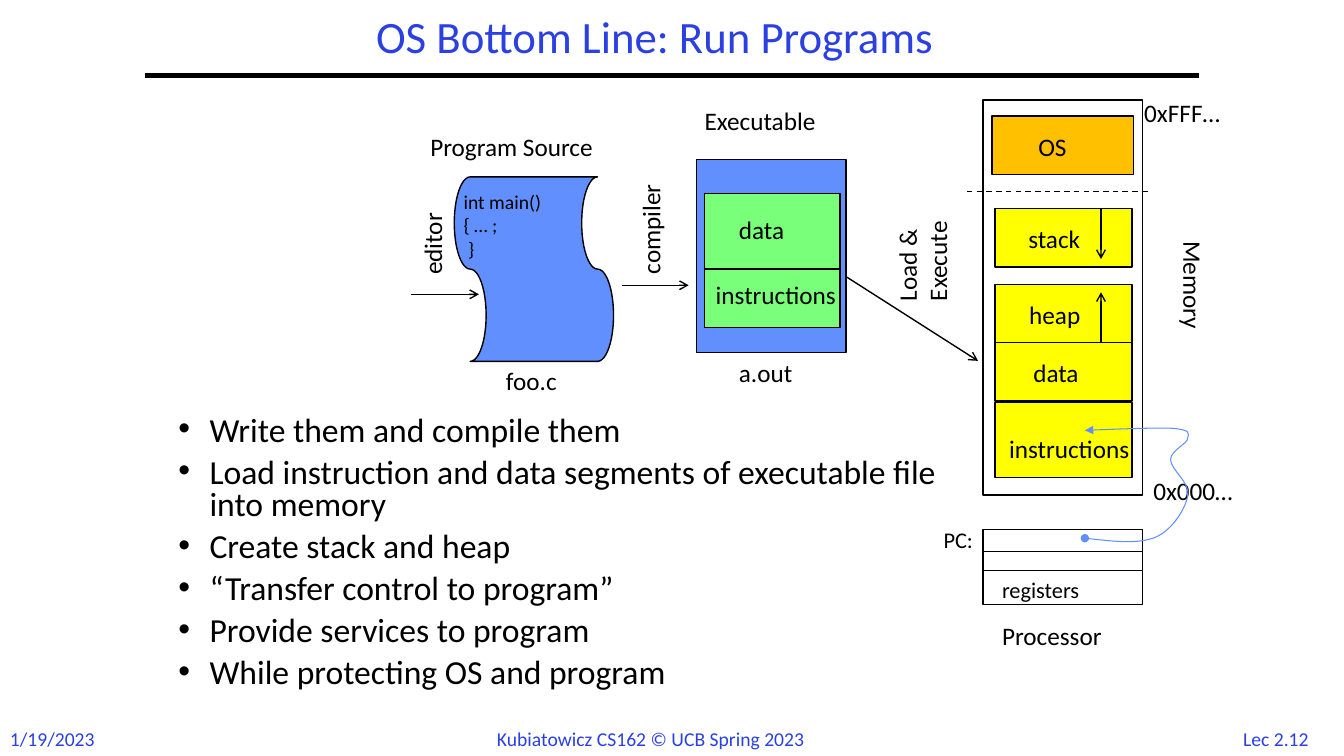
from lxml.etree import SubElement
from pptx import Presentation
from pptx.dml.color import RGBColor
from pptx.enum.dml import MSO_LINE
from pptx.enum.shapes import MSO_CONNECTOR, MSO_SHAPE
from pptx.enum.text import MSO_ANCHOR, MSO_AUTO_SIZE, PP_ALIGN
from pptx.oxml.ns import qn
from pptx.util import Inches, Pt

BLACK = RGBColor(0x00, 0x00, 0x00)
TITLE_BLUE = RGBColor(0x2A, 0x40, 0xE2)
FILE_BLUE = RGBColor(0x61, 0x8F, 0xFD)
SEGMENT_GREEN = RGBColor(0x79, 0xFF, 0x79)
MEMORY_YELLOW = RGBColor(0xFF, 0xFF, 0x00)
OS_ORANGE = RGBColor(0xFF, 0xC0, 0x00)


def apply(target, values):
    for attribute, value in values.items():
        setattr(target, attribute, value)


class Diagram:
    """Draws styled diagram elements on one slide."""

    font = "Calibri"

    def __init__(self, slide):
        self.shapes = slide.shapes

    def text(self, content, left, top, width, height=0.4, size=18, color=BLACK,
             rotation=0, wrap=False, grow=True, anchor=MSO_ANCHOR.TOP,
             bullet=False, **paragraph_format):
        box = self.shapes.add_textbox(*map(Inches, (left, top, width, height)))
        box.rotation = rotation
        apply(box.text_frame, {
            "text": content,
            "word_wrap": wrap,
            "vertical_anchor": anchor,
            "auto_size": MSO_AUTO_SIZE.SHAPE_TO_FIT_TEXT if grow else MSO_AUTO_SIZE.NONE,
        })
        for index, paragraph in enumerate(box.text_frame.paragraphs):
            if bullet:
                self.bullet(paragraph)
                paragraph.space_before = Pt(7 if index else 0)
            apply(paragraph, paragraph_format)
            for run in paragraph.runs:
                apply(run.font, {"name": self.font, "size": Pt(size)})
                run.font.color.rgb = color

    def bullet(self, paragraph):
        properties = paragraph._p.get_or_add_pPr()
        properties.set("marL", str(Inches(0.31)))
        properties.set("indent", str(Inches(-0.31)))
        SubElement(properties, qn("a:buFont"), typeface="Arial")
        SubElement(properties, qn("a:buChar"), char="•")

    def box(self, left, top, width, height, fill=None,
            preset=MSO_SHAPE.RECTANGLE, rotation=0):
        box = self.shapes.add_shape(preset, *map(Inches, (left, top, width, height)))
        box.rotation = rotation
        self.outline(box, fill)

    def outline(self, shape, fill=None, color=BLACK, weight=1):
        shape.shadow.inherit = False
        if fill is None:
            shape.fill.background()
        else:
            shape.fill.solid()
            shape.fill.fore_color.rgb = fill
        shape.line.color.rgb = color
        shape.line.width = Pt(weight)

    def line(self, start, end, weight=1, dash=None, tail=None):
        line = self.shapes.add_connector(
            MSO_CONNECTOR.STRAIGHT, *map(Inches, (*start, *end)))
        line.line.color.rgb = BLACK
        apply(line.line, {"width": Pt(weight), "dash_style": dash})
        self.ends(line, tail=tail)
        SubElement(line._element.spPr, qn("a:effectLst"))

    def arrow(self, start, end):
        self.line(start, end, tail="arrow")

    def ends(self, shape, head=None, tail=None):
        outline = shape.line._get_or_add_ln()
        for tag, kind in (("a:headEnd", head), ("a:tailEnd", tail)):
            if kind:
                SubElement(outline, qn(tag), type=kind)

    def curve(self, start, controls, color, weight, head, tail):
        builder = self.shapes.build_freeform(*map(Inches, start))
        builder.add_line_segments(
            [(Inches(x), Inches(y)) for x, y in controls], close=False)
        curve = builder.convert_to_shape()
        segments = curve._element.xpath(".//a:lnTo")
        for first in range(0, len(segments), 3):
            bezier = segments[first].makeelement(qn("a:cubicBezTo"))
            segments[first].addprevious(bezier)
            for segment in segments[first:first + 3]:
                bezier.append(segment[0])
                segment.getparent().remove(segment)
        self.outline(curve, color=color, weight=weight)
        self.ends(curve, head, tail)


def draw_frame(diagram):
    footer = {"size": 14, "color": TITLE_BLUE, "height": 0.34}
    diagram.text("Lec 2.12", 12.17, 7.16, 0.97, alignment=PP_ALIGN.CENTER, **footer)
    diagram.text("1/19/2023", 0, 7.16, 1.07, **footer)
    diagram.text("Kubiatowicz CS162 © UCB Spring 2023", 4.83, 7.16, 3.68, **footer)
    diagram.line((1.44, 0.75), (11.89, 0.75), weight=3)
    diagram.text("OS Bottom Line: Run Programs", 2.58, 0.1, 7.83, 0.58, size=32,
                 color=TITLE_BLUE, wrap=True, grow=False, anchor=MSO_ANCHOR.MIDDLE,
                 alignment=PP_ALIGN.CENTER, line_spacing=0.9)


def draw_build(diagram):
    diagram.box(4.38, 1.88, 1.83, 1.58, FILE_BLUE,
                MSO_SHAPE.FLOWCHART_PUNCHED_TAPE, rotation=90)
    diagram.text("int main()\n{ … ;\n }", 4.5, 1.83, 1.07, 0.81, size=14)
    diagram.arrow((4.08, 2.92), (4.75, 2.92))
    diagram.text("editor", 3.87, 2.21, 0.83, rotation=270)
    diagram.text("Program Source", 4.17, 1.25, 2.04)
    diagram.text("foo.c", 4.92, 3.58, 0.75)

    diagram.box(6.91, 1.58, 1.48, 1.92, FILE_BLUE)
    diagram.arrow((6.17, 2.83), (6.83, 2.83))
    diagram.text("compiler", 5.87, 2.04, 1.16, rotation=270)
    diagram.text("Executable", 6.89, 1, 1.45)
    diagram.text("a.out", 7.23, 3.5, 0.76)
    for top, height in ((1.92, 0.75), (2.67, 0.58)):
        diagram.box(6.99, top, 1.34, height, SEGMENT_GREEN)
    diagram.text("data", 7.23, 2.08, 0.69)
    diagram.text("instructions", 7, 2.72, 1.48)
    diagram.arrow((8.4, 2.75), (9.7, 3.58))
    diagram.text("Load & Execute", 8.53, 2.11, 1.24, 0.71, rotation=270, wrap=True)


def draw_machine(diagram):
    for top, height in ((0.99, 3.92), (5.25, 0.75), (5.47, 0.19)):
        diagram.box(9.75, top, 1.58, height)
    diagram.text("Memory", 11.28, 2.65, 1.11, rotation=90)
    diagram.text("PC:", 9.26, 5.17, 0.58, 0.37, size=16)
    diagram.text("registers", 9.84, 5.67, 1.06, 0.37, size=16)
    diagram.text("Processor", 9.84, 6.1, 1.34)
    diagram.text("0xFFF…", 11.25, 0.92, 1.18)
    diagram.text("0x000…", 11.34, 4.67, 1.14)

    diagram.box(9.84, 1.15, 1.4, 0.58, OS_ORANGE)
    diagram.text("OS", 10.2, 1.25, 0.57)
    diagram.line((9.59, 1.9), (11.42, 1.9), dash=MSO_LINE.DASH)
    segments = (
        ("instructions", 3.99, 0.75, 9.91, 0.26, 1.48),
        ("data", 3.4, 0.58, 10.15, 0.1, 0.69),
        ("heap", 2.82, 0.58, 10.11, 0.1, 0.76),
        ("stack", 2.07, 0.58, 10.1, 0.1, 0.79),
    )
    for name, top, height, name_left, name_drop, name_width in segments:
        diagram.box(9.87, top, 1.36, height, MEMORY_YELLOW)
        diagram.text(name, name_left, top + name_drop, name_width)
    diagram.arrow((10.92, 2.07), (10.92, 2.57))
    diagram.arrow((10.92, 3.4), (10.92, 2.9))

    diagram.curve((10.76, 5.34), [
        (11.03, 5.37), (11.29, 5.4), (11.46, 5.33),
        (11.63, 5.26), (11.76, 5.04), (11.78, 4.92),
        (11.81, 4.79), (11.61, 4.66), (11.61, 4.56),
        (11.61, 4.47), (11.78, 4.4), (11.78, 4.35),
        (11.79, 4.29), (11.81, 4.27), (11.64, 4.25),
        (11.47, 4.24), (10.76, 4.27), (10.76, 4.27),
    ], FILE_BLUE, 0.75, head="oval", tail="triangle")


def main():
    presentation = Presentation()
    apply(presentation, {"slide_width": Inches(13.33), "slide_height": Inches(7.5)})
    diagram = Diagram(presentation.slides.add_slide(presentation.slide_layouts[6]))
    draw_frame(diagram)
    draw_build(diagram)
    draw_machine(diagram)
    duties = (
        "Write them and compile them",
        "Load instruction and data segments of executable file into memory",
        "Create stack and heap",
        "“Transfer control to program”",
        "Provide services to program",
        "While protecting OS and program",
    )
    diagram.text("\n".join(duties), 1.67, 4.08, 7.73, 3.08, size=24, wrap=True,
                 grow=False, bullet=True, line_spacing=0.8)
    presentation.save("out.pptx")


if __name__ == "__main__":
    main()
